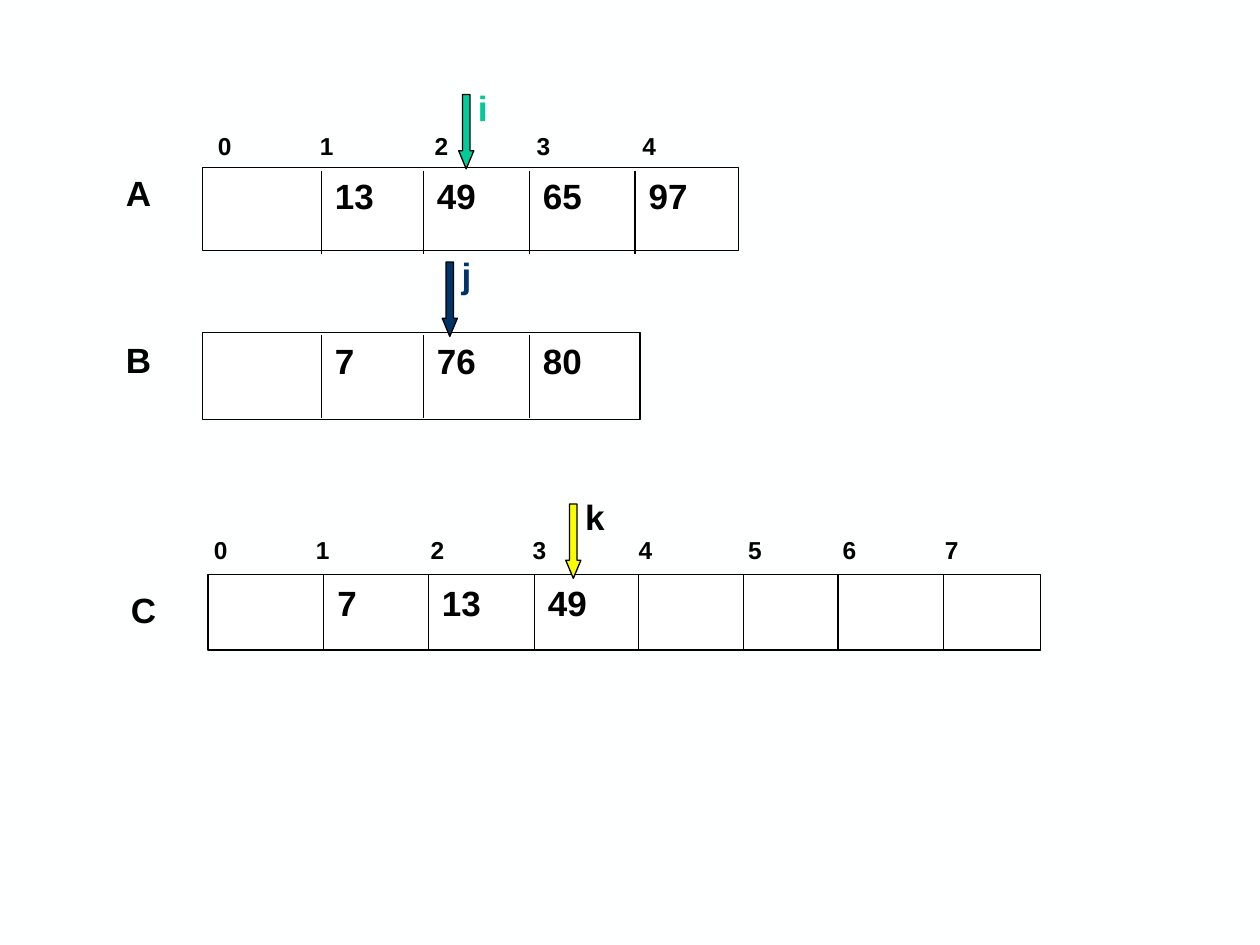
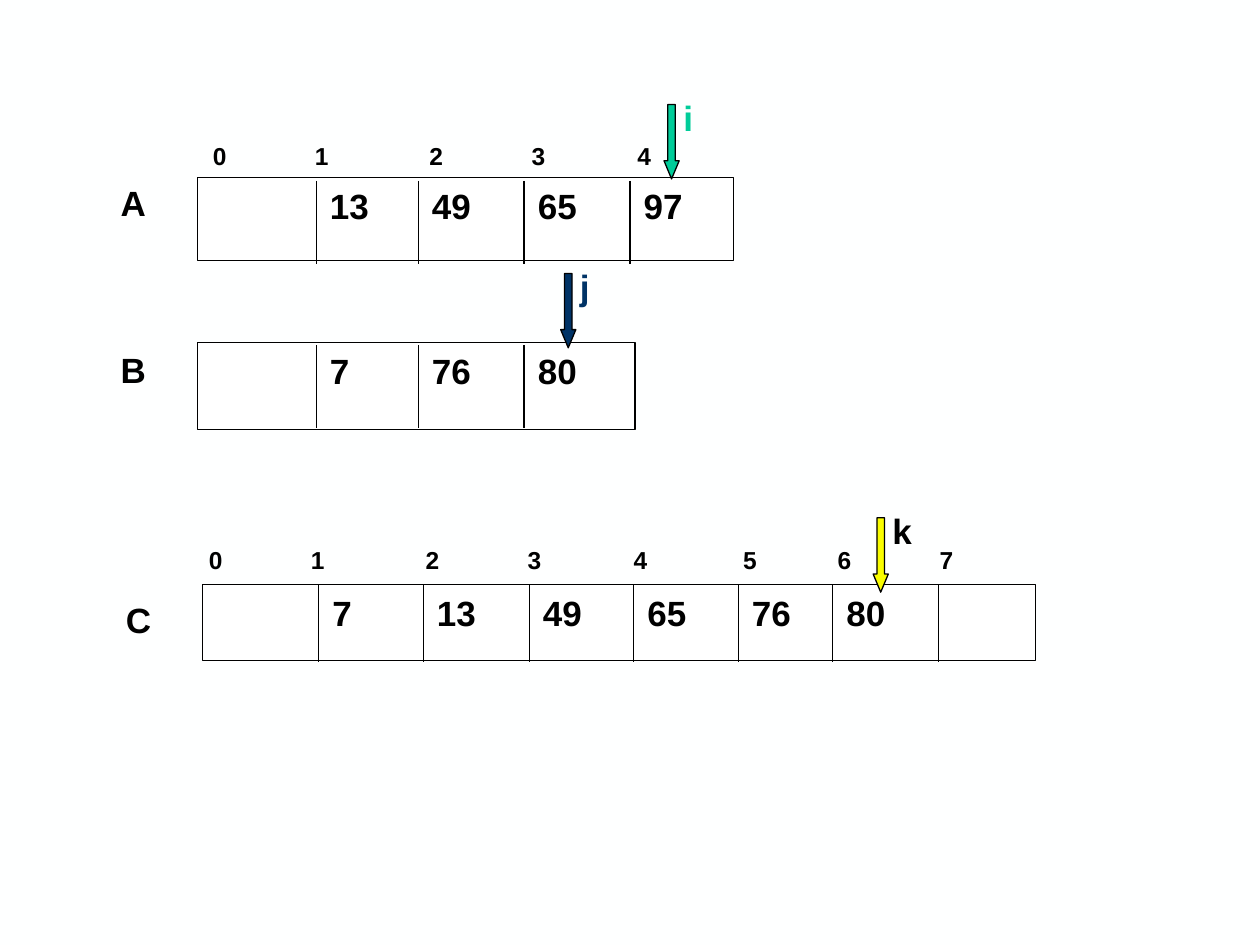
import pptx
import pptx.dml.color
import pptx.enum.shapes
import pptx.enum.text
import pptx.oxml.ns
import pptx.util
from lxml import etree

HUES = {"back": "FEFFFF", "cell": "FFFFFF", "ink": "000000",
        "i": "00CC99", "j": "003366", "k": "FAFD00"}
COLS, ROWS = 100, 75
STOPS = (8.1, 17.2, 25.3, 33.7, 42.4, 49.9, 58)
SHORT = (9.4, 17.5, 25.9, 34.3)
LONG = (9.2, 17.5, 25.9, 34.2, 42.5, 50, 58.4)
BARS = {
    "A": dict(left=16.1, top=13.3, wide=42.5, high=6.6, cuts=SHORT, drop=0.25, rule=6.6, lift=-0.2),
    "B": dict(left=16.1, top=26.4, wide=34.7, high=6.9, cuts=SHORT[:3], drop=0.2, rule=6.6, lift=0),
    "C": dict(left=16.5, top=45.6, wide=66.1, high=6, cuts=LONG, drop=0, rule=6.1, lift=0.6),
}
FIXED = {"A": (13, 49, 65, 97), "B": (7, 76, 80)}
STEPS = (
    dict(shift=(0, 0), merged=(7, 13, 49),
         marks={"i": (36.4, 7.5), "j": (35.1, 20.8), "k": (44.9, 40)}),
    dict(shift=(-0.4, 0.8), merged=(7, 13, 49, 65, 76, 80),
         marks={"i": (52.7, 8.3), "j": (44.5, 21.7), "k": (69.3, 41.1)}),
)


def tint(name):
    return pptx.dml.color.RGBColor.from_string(HUES[name])


class Deck:
    """Draws array bars and index arrows on the current slide."""

    def __init__(self):
        self.file = pptx.Presentation()
        self.file.slide_width = pptx.util.Inches(10)
        self.file.slide_height = pptx.util.Inches(7.5)
        back = self.file.slide_master.background.fill
        back.solid()
        back.fore_color.rgb = tint("back")

    def page(self, shift):
        self.slide = self.file.slides.add_slide(self.file.slide_layouts[6])
        self.shift = shift

    def x(self, cols):
        return round(cols * self.file.slide_width / COLS)

    def y(self, rows):
        return round(rows * self.file.slide_height / ROWS)

    def area(self, left, top, wide, high):
        return self.x(left), self.y(top), self.x(wide), self.y(high)

    def text(self, words, left, top, wide=6.7, high=4.4, size=20, hue="ink", stops=(), host=None):
        box = (host or self.slide).shapes.add_textbox(*self.area(left, top, wide, high))
        frame = box.text_frame
        frame.word_wrap = True
        frame.auto_size = pptx.enum.text.MSO_AUTO_SIZE.SHAPE_TO_FIT_TEXT
        line = frame.paragraphs[0]
        line.text = words
        if stops:
            name = pptx.oxml.ns.qn
            tabs = etree.SubElement(line._p.get_or_add_pPr(), name("a:tabLst"))
            for stop in stops:
                etree.SubElement(tabs, name("a:tab"), pos=str(self.x(stop)), algn="l")
        font = line.font
        font.name, font.size, font.bold = "Arial", pptx.util.Pt(size), True
        font.color.rgb = tint(hue)

    def shape(self, kind, left, top, wide, high, hue, host=None):
        item = (host or self.slide).shapes.add_shape(kind, *self.area(left, top, wide, high))
        item.shadow.inherit = False
        item.fill.solid()
        item.fill.fore_color.rgb = tint(hue)
        self.stroke(item)
        return item

    def stroke(self, item):
        item.line.color.rgb = tint("ink")
        item.line.width = pptx.util.Pt(0.75)

    def rule(self, left, top, high):
        line = self.slide.shapes.add_connector(
            pptx.enum.shapes.MSO_CONNECTOR.STRAIGHT,
            self.x(left), self.y(top), self.x(left), self.y(top + high))
        self.stroke(line)
        etree.SubElement(line._element.spPr, pptx.oxml.ns.qn("a:effectLst"))

    def bar(self, name, values, left, top, wide, high, cuts, drop, rule, lift):
        left, top = left + self.shift[0], top + self.shift[1]
        self.shape(pptx.enum.shapes.MSO_SHAPE.RECTANGLE, left, top, wide, high, "cell")
        for cut in cuts:
            self.rule(left + cut, top + drop, rule)
        for cut, value in zip(cuts, values):
            self.text(str(value), left + cut + 0.1, top + 0.05)
        self.text(name, left - 7.1, top + lift)

    def scale(self, count, left, top, wide):
        words = "\t".join(str(n) for n in range(count))
        self.text(words, left + self.shift[0], top + self.shift[1], wide, 3.4,
                  size=14, stops=STOPS[:count - 1])

    def mark(self, name, left, top):
        host = self.slide.shapes.add_group_shape()
        arrow = self.shape(pptx.enum.shapes.MSO_SHAPE.DOWN_ARROW, left, top, 1.2, 5.9, name, host)
        arrow.adjustments[0], arrow.adjustments[1] = 0.5, 1.2
        self.text(name, left + 0.55, top - 1.15, 5.3,
                  hue="ink" if name == "k" else name, host=host)


def main():
    deck = Deck()
    for step in STEPS:
        deck.page(step["shift"])
        for name, bar in BARS.items():
            deck.bar(name, FIXED.get(name, step["merged"]), **bar)
        deck.scale(5, 16.3, 9.9, 42.5)
        deck.scale(8, 16, 42, 66.6)
        for name, spot in step["marks"].items():
            deck.mark(name, *spot)
    deck.file.save("out.pptx")


if __name__ == "__main__":
    main()
